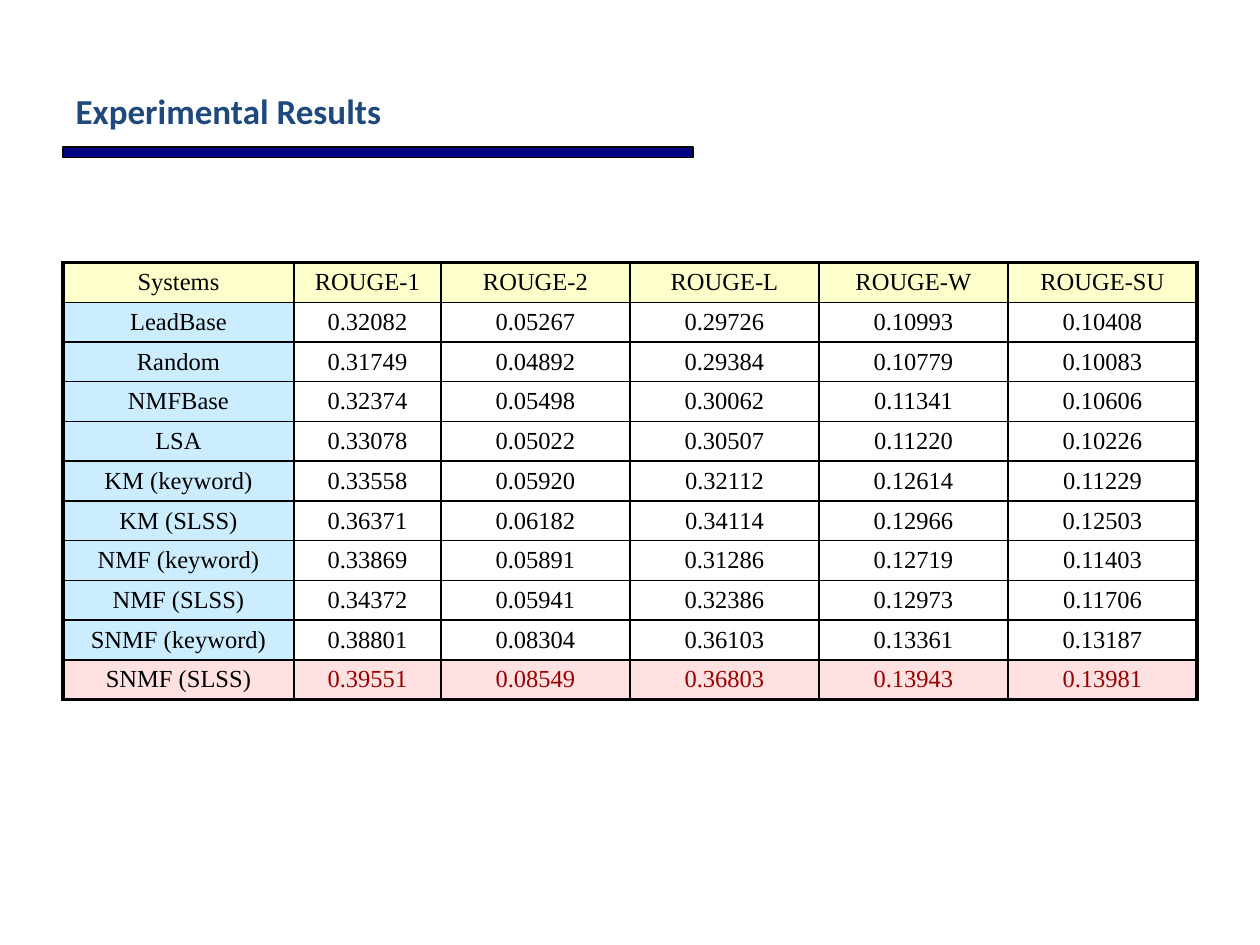
from lxml.etree import SubElement
from pptx import Presentation
from pptx.dml.color import RGBColor as Rgb
from pptx.enum.shapes import MSO_SHAPE as Shape
from pptx.enum.text import MSO_ANCHOR as Anchor, PP_ALIGN as Align
from pptx.oxml import parse_xml
from pptx.oxml.ns import nsdecls, qn
from pptx.util import Pt

COLORS = {
    "title": "1F497D", "rule": "000080", "ink": "000000", "header": "FFFFCC",
    "system": "CCECFF", "best": "FFE1E1", "best_score": "990000",
}
HEADINGS = ["Systems", "ROUGE-1", "ROUGE-2", "ROUGE-L", "ROUGE-W", "ROUGE-SU"]
RESULTS = [
    ["LeadBase", "0.32082", "0.05267", "0.29726", "0.10993", "0.10408"],
    ["Random", "0.31749", "0.04892", "0.29384", "0.10779", "0.10083"],
    ["NMFBase", "0.32374", "0.05498", "0.30062", "0.11341", "0.10606"],
    ["LSA", "0.33078", "0.05022", "0.30507", "0.11220", "0.10226"],
    ["KM (keyword)", "0.33558", "0.05920", "0.32112", "0.12614", "0.11229"],
    ["KM (SLSS)", "0.36371", "0.06182", "0.34114", "0.12966", "0.12503"],
    ["NMF (keyword)", "0.33869", "0.05891", "0.31286", "0.12719", "0.11403"],
    ["NMF (SLSS)", "0.34372", "0.05941", "0.32386", "0.12973", "0.11706"],
    ["SNMF (keyword)", "0.38801", "0.08304", "0.36103", "0.13361", "0.13187"],
    ["SNMF (SLSS)", "0.39551", "0.08549", "0.36803", "0.13943", "0.13981"],
]
COLUMN_WIDTHS = [132, 84, 108, 108, 108, 108]
ROW_HEIGHT = 22.67


class ResultsSlide:
    """Holds the style and the slide, and draws each kind of element."""

    title_font, table_font = "Calibri", "Times New Roman"
    title_size, table_size = 20, 14
    outer_border, inner_border = 2.25, 1

    def __init__(self, deck):
        self.slide = deck.slides.add_slide(deck.slide_layouts[5])

    def add_text(self, paragraph, text, font, size, color, bold=False):
        run = paragraph.add_run()
        run.text = text
        run.font.name, run.font.size, run.font.bold = font, Pt(size), bold
        run.font.color.rgb = Rgb.from_string(COLORS[color])

    def title(self, text, left, top, width, height):
        heading = self.slide.shapes.title
        heading.left, heading.top = Pt(left), Pt(top)
        heading.width, heading.height = Pt(width), Pt(height)
        heading.text_frame.vertical_anchor = Anchor.MIDDLE
        paragraph = heading.text_frame.paragraphs[0]
        paragraph.alignment = Align.LEFT
        self.add_text(paragraph, text, self.title_font, self.title_size, "title", True)

    def rule(self, left, top, width, height):
        bar = self.slide.shapes.add_shape(
            Shape.RECTANGLE, Pt(left), Pt(top), Pt(width), Pt(height))
        bar.shadow.inherit = False
        bar.fill.solid()
        bar.fill.fore_color.rgb = Rgb.from_string(COLORS["rule"])
        bar.line.color.rgb = Rgb.from_string(COLORS["ink"])
        bar.line.width = Pt(0.75)

    def borders(self, cell, outer_sides):
        properties = cell._tc.get_or_add_tcPr()
        for position, side in enumerate("LRTB"):
            width = self.outer_border if side in outer_sides else self.inner_border
            edge = parse_xml(f'<a:ln{side} {nsdecls("a")} w="{Pt(width)}"/>')
            fill = SubElement(edge, qn("a:solidFill"))
            SubElement(fill, qn("a:srgbClr"), val=COLORS["ink"])
            properties.insert(position, edge)

    def cell(self, cell, text, fill, color, outer_sides):
        if fill:
            cell.fill.solid()
            cell.fill.fore_color.rgb = Rgb.from_string(COLORS[fill])
        else:
            cell.fill.background()
        self.borders(cell, outer_sides)
        paragraph = cell.text_frame.paragraphs[0]
        paragraph.alignment = Align.CENTER
        self.add_text(paragraph, text, self.table_font, self.table_size, color)

    def table(self, rows, widths, row_height, left, top):
        grid = self.slide.shapes.add_table(
            len(rows), len(widths), Pt(left), Pt(top),
            Pt(sum(widths)), Pt(row_height * len(rows))).table
        grid.first_row = grid.horz_banding = False
        for column, width in zip(grid.columns, widths):
            column.width = Pt(width)
        last_row, last_column = len(rows) - 1, len(widths) - 1
        for r, values in enumerate(rows):
            grid.rows[r].height = Pt(row_height)
            for c, value in enumerate(values):
                if r == 0:
                    fill = "header"
                elif r == last_row:
                    fill = "best"
                else:
                    fill = "system" if c == 0 else None
                color = "best_score" if r == last_row and c > 0 else "ink"
                edges = {"L": c == 0, "R": c == last_column,
                         "T": r == 0, "B": r == last_row}
                outer_sides = [side for side, outer in edges.items() if outer]
                self.cell(grid.cell(r, c), value, fill, color, outer_sides)


def main():
    deck = Presentation()
    deck.slide_width, deck.slide_height = Pt(720), Pt(540)
    page = ResultsSlide(deck)
    page.table([HEADINGS] + RESULTS, COLUMN_WIDTHS, ROW_HEIGHT, 36, 150)
    page.title("Experimental Results", 36, 18, 648, 90)
    page.rule(36, 84, 360, 6)
    deck.save("out.pptx")


if __name__ == "__main__":
    main()
